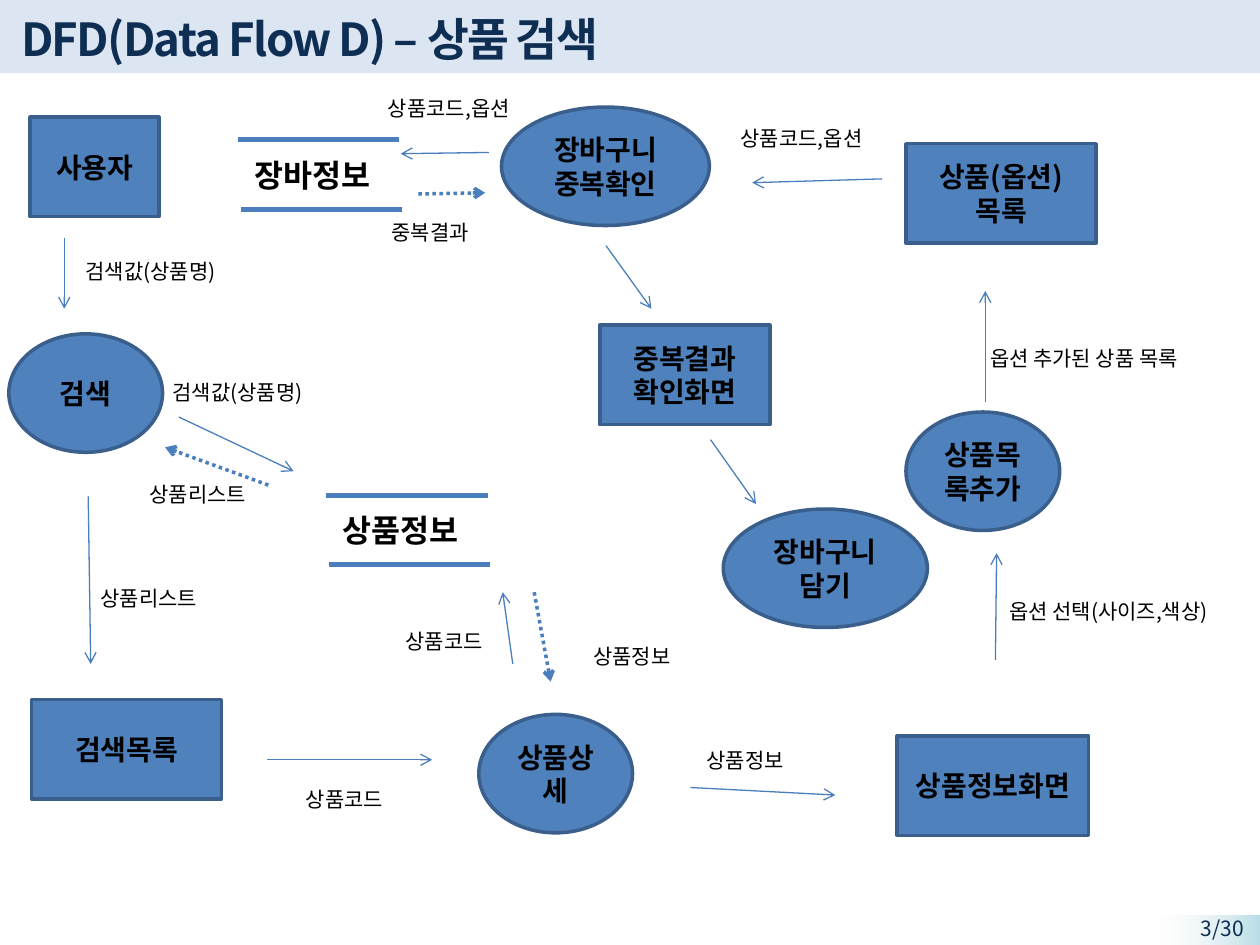
from lxml import etree
from pptx import Presentation
from pptx import util as u
from pptx.dml.color import RGBColor
from pptx.enum import dml, shapes, text
from pptx.oxml.ns import qn

FONT = "Noto Sans CJK KR"
COLORS = {"band": "DCE6F2", "navy": "0F2E53", "node": "4F81BD", "edge": "3A5F8C",
          "flow": "4B7EBC", "ink": "000000", "aqua": "B7DEE8", "pale": "F2F2F2"}
RECT, OVAL = shapes.MSO_SHAPE.RECTANGLE, shapes.MSO_SHAPE.OVAL
CENTER, RIGHT = text.PP_ALIGN.CENTER, text.PP_ALIGN.RIGHT
MIDDLE = text.MSO_ANCHOR.MIDDLE
NODE_H = {RECT: 0.79, OVAL: 0.94}

# kind, left, top, width, wording
NODES = [
    (RECT, 0.24, 0.93, 1.02, "사용자"),
    (OVAL, 0.07, 2.65, 1.22, "검색"),
    (RECT, 0.25, 5.55, 1.51, "검색목록"),
    (OVAL, 3.8, 5.67, 1.22, "상품상세"),
    (RECT, 7.12, 5.84, 1.52, "상품정보화면"),
    (OVAL, 7.19, 3.27, 1.22, "상품목록추가"),
    (RECT, 7.19, 1.14, 1.51, "상품(옵션)목록"),
    (OVAL, 3.98, 0.85, 1.65, "장바구니 중복확인"),
    (RECT, 4.76, 2.58, 1.35, "중복결과\n확인화면"),
    (OVAL, 5.74, 4.04, 1.62, "장바구니담기"),
]
STORES = [(1.89, 1.11, "장바정보"), (2.59, 3.93, "상품정보")]

# start, end, dotted, label (left, top, width, wording)
FLOWS = [
    ((0.51, 1.89), (0.51, 2.45), False, (0.58, 2, 1.31, "검색값(상품명)")),
    ((1.42, 3.31), (2.33, 3.74), False, (1.27, 2.96, 1.31, "검색값(상품명)")),
    ((2.13, 3.85), (1.31, 3.55), True, (1.09, 3.77, 1.04, "상품리스트")),
    ((0.7, 3.94), (0.72, 5.27), False, (0.7, 4.6, 1.04, "상품리스트")),
    ((2.12, 6.03), (3.43, 6.03), False, (2.33, 6.19, 0.88, "상품코드")),
    ((4.07, 5.27), (3.99, 4.7), False, (3.12, 4.94, 0.88, "상품코드")),
    ((4.24, 4.7), (4.37, 5.41), True, (4.61, 5.06, 0.88, "상품정보")),
    ((5.48, 6.25), (6.63, 6.31), False, (5.51, 5.88, 0.88, "상품정보")),
    ((7.9, 5.24), (7.91, 4.39), False, (7.91, 4.7, 1.91, "옵션 선택(사이즈,색상)")),
    ((7.82, 3.19), (7.82, 2.31), False, (7.76, 2.69, 1.9, "옵션 추가된 상품 목록")),
    ((7, 1.42), (5.97, 1.45), False, (5.78, 0.95, 1.25, "상품코드,옵션")),
    ((3.88, 1.21), (3.18, 1.22), False, (2.98, 0.71, 1.25, "상품코드,옵션")),
    ((3.32, 1.54), (3.85, 1.53), True, (3.01, 1.69, 0.88, "중복결과")),
    ((4.81, 1.95), (5.17, 2.45), False, None),
    ((5.64, 3.49), (6, 4), False, None),
]


def rgb(name):
    """Look up a palette colour."""
    return RGBColor.from_string(COLORS[name])


def inches(*lengths):
    """Turn numbers into lengths."""
    return [u.Inches(length) for length in lengths]


def write(frame, wording, size=12, bold=False, color="ink", align=None,
          anchor=text.MSO_ANCHOR.TOP, spacing=None):
    """Fill a text frame, one paragraph for each line of wording."""
    frame.word_wrap = True
    frame.vertical_anchor = anchor
    for i, line in enumerate(wording.split("\n")):
        paragraph = frame.add_paragraph() if i else frame.paragraphs[0]
        paragraph.alignment = align
        run = paragraph.add_run()
        run.text = line
        font = run.font
        font.name, font.size, font.bold = FONT, u.Pt(size), bold
        font.color.rgb = rgb(color)
        props = run._r.get_or_add_rPr()
        etree.SubElement(props, qn("a:ea")).set("typeface", FONT)
        if spacing is not None:
            props.set("spc", str(spacing))


def add_label(parent, box, wording, **style):
    """Place a text box."""
    write(parent.add_textbox(*inches(*box)).text_frame, wording, **style)


def add_block(parent, kind, box, fill=None, edge=None):
    """Place a flat preset shape."""
    block = parent.add_shape(kind, *inches(*box))
    block.shadow.inherit = False
    if fill:
        block.fill.solid()
        block.fill.fore_color.rgb = rgb(fill)
    if edge:
        block.line.color.rgb = rgb(edge)
        block.line.width = u.Pt(2)
    else:
        block.line.fill.background()
    return block


def add_line(parent, start, end, width, dotted=False, arrow=False):
    """Draw a straight line, with an arrowhead at its end if asked."""
    link = parent.add_connector(shapes.MSO_CONNECTOR.STRAIGHT, *inches(*start, *end))
    link.line.color.rgb = rgb("flow")
    link.line.width = u.Pt(width)
    if dotted:
        link.line.dash_style = dml.MSO_LINE.ROUND_DOT
    if arrow:
        etree.SubElement(link.line._get_or_add_ln(), qn("a:tailEnd")).set("type", "arrow")
    etree.SubElement(link._element.spPr, qn("a:effectLst"))


def add_header(parent, title):
    """Draw the title band across the top."""
    add_block(parent, RECT, (0, -0.02, 10, 0.6), fill="band")
    add_label(parent, (0.07, 0.04, 8.51, 0.52), title, size=26, bold=True,
              color="navy", anchor=MIDDLE, spacing=-100)


def add_footer(parent, page):
    """Draw the fading page number tab."""
    tab = add_block(parent, RECT, (9.2, 7.27, 0.8, 0.24))
    tab.fill.gradient()
    tab.fill.gradient_angle = 180
    for stop, name in zip(tab.fill.gradient_stops, ("aqua", "pale")):
        stop.color.rgb = rgb(name)
    faded = tab._element.spPr.findall(".//" + qn("a:gs"))[-1][0]
    etree.SubElement(faded, qn("a:alpha")).set("val", "0")
    add_label(parent, (9.05, 7.22, 0.92, 0.23), page, color="navy", align=RIGHT)


def add_node(parent, kind, left, top, width, wording):
    """Draw a screen (rectangle) or a process (oval)."""
    node = add_block(parent, kind, (left, top, width, NODE_H[kind]), "node", "edge")
    write(node.text_frame, wording, size=16, bold=True, align=CENTER, anchor=MIDDLE)


def add_store(parent, left, top, wording):
    """Draw a data store: a name between two bars."""
    store = parent.add_group_shape().shapes
    for dx, dy in ((0, 0), (0.02, 0.55)):
        add_line(store, (left + dx, top + dy), (left + dx + 1.28, top + dy), 3)
    add_label(store, (left + 0.03, top + 0.08, 1.21, 0.4), wording, size=18, bold=True)


def add_flow(parent, start, end, dotted, label):
    """Draw a data flow arrow and its label."""
    add_line(parent, start, end, 2 if dotted else 0.75, dotted, arrow=True)
    if label:
        left, top, width, wording = label
        add_label(parent, (left, top, width, 0.3), wording)


deck = Presentation()
deck.slide_width, deck.slide_height = inches(10, 7.5)
canvas = deck.slides.add_slide(deck.slide_layouts[6]).shapes
add_header(canvas, "DFD(Data Flow D) – 상품 검색")
add_footer(canvas, "3/30")
for node in NODES:
    add_node(canvas, *node)
for store in STORES:
    add_store(canvas, *store)
for flow in FLOWS:
    add_flow(canvas, *flow)
deck.save("out.pptx")
